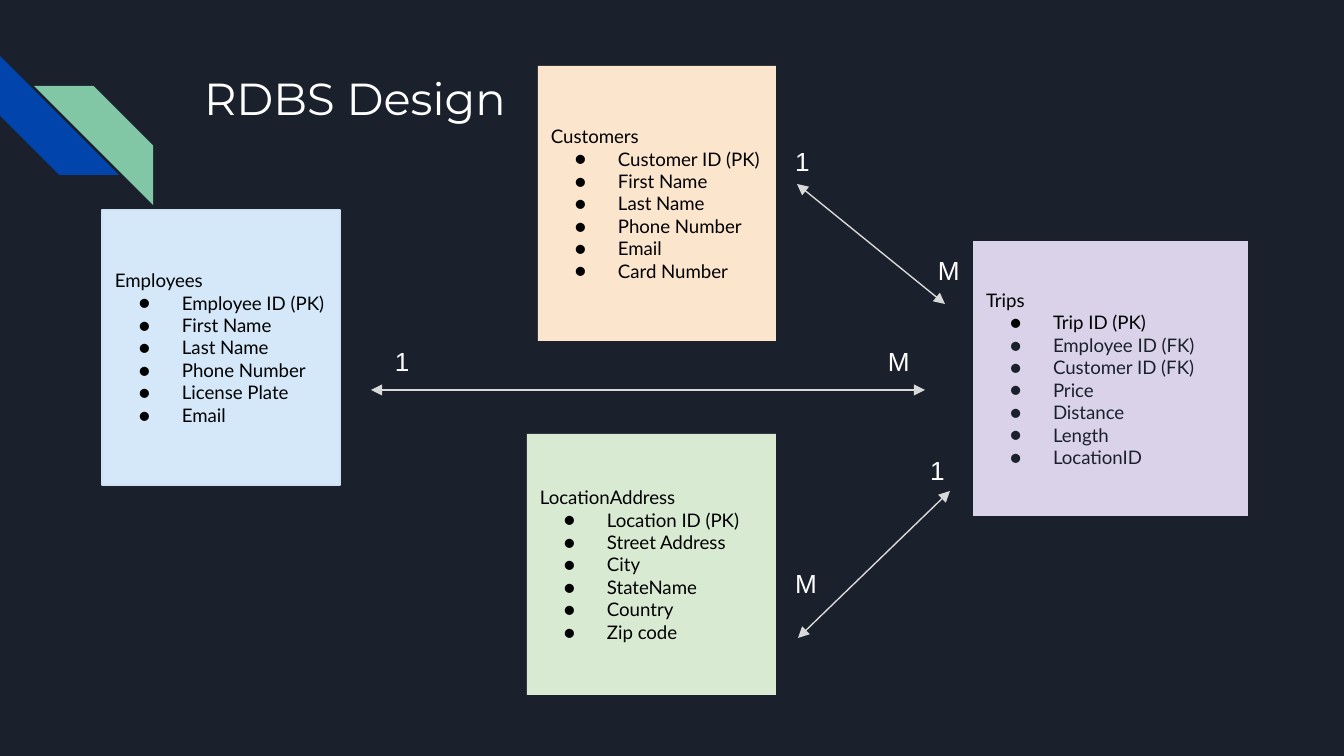
from dataclasses import dataclass

import lxml.etree
import pptx
import pptx.dml.color
import pptx.enum.shapes
import pptx.enum.text
import pptx.oxml
import pptx.oxml.ns
import pptx.util

SHAPES = pptx.enum.shapes.MSO_SHAPE
ANCHORS = pptx.enum.text.MSO_ANCHOR
ALIGNMENTS = pptx.enum.text.PP_ALIGN
PX_PER_INCH = 134.4
INSET = 13


@dataclass(frozen=True)
class Theme:
    background: str = "1B212C"
    light_text: str = "FFFFFF"
    dark_text: str = "000000"
    foreign_text: str = "1B212C"
    arrow: str = "D9D9D9"
    blue_stripe: str = "0145AC"
    green_stripe: str = "82C7A5"
    title_font: str = "Montserrat"
    entity_font: str = "Lato"
    label_font: str = "Arial"
    title_size: int = 24
    entity_size: int = 10
    label_size: int = 14
    line_width: float = 0.75


THEME = Theme()

# Name, box, fill, outline, fields, number of leading fields in the dark colour
ENTITIES = [
    ("Employees", (102, 210, 238, 275), "D4E8FA", "CFE2F3",
     ["Employee ID (PK)", "First Name", "Last Name", "Phone Number",
      "License Plate", "Email"], 6),
    ("Customers", (538, 66, 238, 275), "FCE5CD", None,
     ["Customer ID (PK)", "First Name", "Last Name", "Phone Number",
      "Email", "Card Number"], 6),
    ("Trips", (973, 241, 275, 275), "D9D2E9", None,
     ["Trip ID (PK)", "Employee ID (FK)", "Customer ID (FK)", "Price",
      "Distance", "Length", "LocationID"], 1),
    ("LocationAddress", (527, 434, 249, 261), "D9EAD3", None,
     ["Location ID (PK)", "Street Address", "City", "StateName",
      "Country", "Zip code"], 6),
]

# Two ends, each with its point, its label and the label's offset from the point
RELATIONSHIPS = [
    (((797, 184), "1", (-15, -52)), ((945, 304), "M", (-20, -63))),
    (((798, 638), "M", (-16, -84)), ((950, 491), "1", (-33, -50))),
    (((371, 390), "1", (11, -58)), ((925, 390), "M", (-50, -58))),
]


def px(length):
    return pptx.util.Emu(round(length * 914400 / PX_PER_INCH))


def color(value):
    return pptx.dml.color.RGBColor.from_string(value)


def add_xml(parent, tag, **attributes):
    return lxml.etree.SubElement(parent, pptx.oxml.ns.qn(tag), **attributes)


def set_font(paragraph, name, size, value):
    paragraph.alignment = ALIGNMENTS.LEFT
    paragraph.font.name = name
    paragraph.font.size = pptx.util.Pt(size)
    paragraph.font.color.rgb = color(value)


def set_frame(frame, anchor):
    frame.word_wrap = True
    frame.auto_size = pptx.enum.text.MSO_AUTO_SIZE.NONE
    frame.vertical_anchor = anchor
    frame.margin_left = frame.margin_right = px(INSET)
    frame.margin_top = frame.margin_bottom = px(INSET)


def add_bullet(paragraph, value):
    properties = paragraph._p.get_or_add_pPr()
    properties.set("marL", str(px(67)))
    properties.set("indent", str(px(-43)))
    bullet_color = add_xml(properties, "a:buClr")
    add_xml(bullet_color, "a:srgbClr", val=value)
    add_xml(properties, "a:buFont", typeface=THEME.entity_font)
    add_xml(properties, "a:buChar", char="●")


def add_filled_shape(slide, kind, box, fill, outline=None):
    shape = slide.shapes.add_shape(kind, *map(px, box))
    shape.shadow.inherit = False
    shape.fill.solid()
    shape.fill.fore_color.rgb = color(fill)
    if outline:
        shape.line.color.rgb = color(outline)
        shape.line.width = pptx.util.Pt(THEME.line_width)
    else:
        shape.line.fill.background()
    return shape


def add_corner_stripes(slide, box):
    left, top, width, height = box
    side = 119
    stripes = [
        (left, top, 270, THEME.blue_stripe),
        (left + width - side, top + height - side, 90, THEME.green_stripe),
    ]
    for stripe_left, stripe_top, rotation, fill in stripes:
        stripe = add_filled_shape(
            slide, SHAPES.DIAGONAL_STRIPE, (stripe_left, stripe_top, side, side), fill)
        stripe.rotation = rotation


def add_title(slide, box, text):
    title = slide.shapes.title
    title.left, title.top, title.width, title.height = map(px, box)
    set_frame(title.text_frame, ANCHORS.TOP)
    title.text_frame.text = text
    set_font(title.text_frame.paragraphs[0],
             THEME.title_font, THEME.title_size, THEME.light_text)


def add_entity(slide, name, box, fill, outline, fields, dark_count):
    shape = add_filled_shape(slide, SHAPES.RECTANGLE, box, fill, outline)
    frame = shape.text_frame
    set_frame(frame, ANCHORS.MIDDLE)
    heading = frame.paragraphs[0]
    heading.text = name
    set_font(heading, THEME.entity_font, THEME.entity_size, THEME.dark_text)
    for index, field in enumerate(fields):
        value = THEME.dark_text if index < dark_count else THEME.foreign_text
        paragraph = frame.add_paragraph()
        paragraph.text = field
        add_bullet(paragraph, value)
        set_font(paragraph, THEME.entity_font, THEME.entity_size, value)


def add_relationship(slide, start, end):
    # Double-headed arrow
    connector = slide.shapes.add_connector(
        pptx.enum.shapes.MSO_CONNECTOR.STRAIGHT, *map(px, start[0] + end[0]))
    connector.line.color.rgb = color(THEME.arrow)
    connector.line.width = pptx.util.Pt(THEME.line_width)
    line = connector.line._get_or_add_ln()
    for tag in ("a:headEnd", "a:tailEnd"):
        add_xml(line, tag, type="triangle", w="med", len="med")
    add_xml(connector._element.spPr, "a:effectLst")

    # Cardinality labels
    for (x, y), text, (offset_x, offset_y) in (start, end):
        label = slide.shapes.add_textbox(
            *map(px, (x + offset_x, y + offset_y, 48, 44)))
        set_frame(label.text_frame, ANCHORS.TOP)
        label.text_frame.text = text
        set_font(label.text_frame.paragraphs[0],
                 THEME.label_font, THEME.label_size, THEME.light_text)


def main():
    presentation = pptx.Presentation()
    presentation.slide_width = px(1344)
    presentation.slide_height = px(756)
    slide = presentation.slides.add_slide(presentation.slide_layouts[5])
    slide.background.fill.solid()
    slide.background.fill.fore_color.rgb = color(THEME.background)

    add_corner_stripes(slide, (0, 56, 153, 149))
    add_title(slide, (191, 58, 1035, 134), "RDBS Design")
    for entity in ENTITIES:
        add_entity(slide, *entity)
    for start, end in RELATIONSHIPS:
        add_relationship(slide, start, end)

    presentation.save("out.pptx")


if __name__ == "__main__":
    main()
